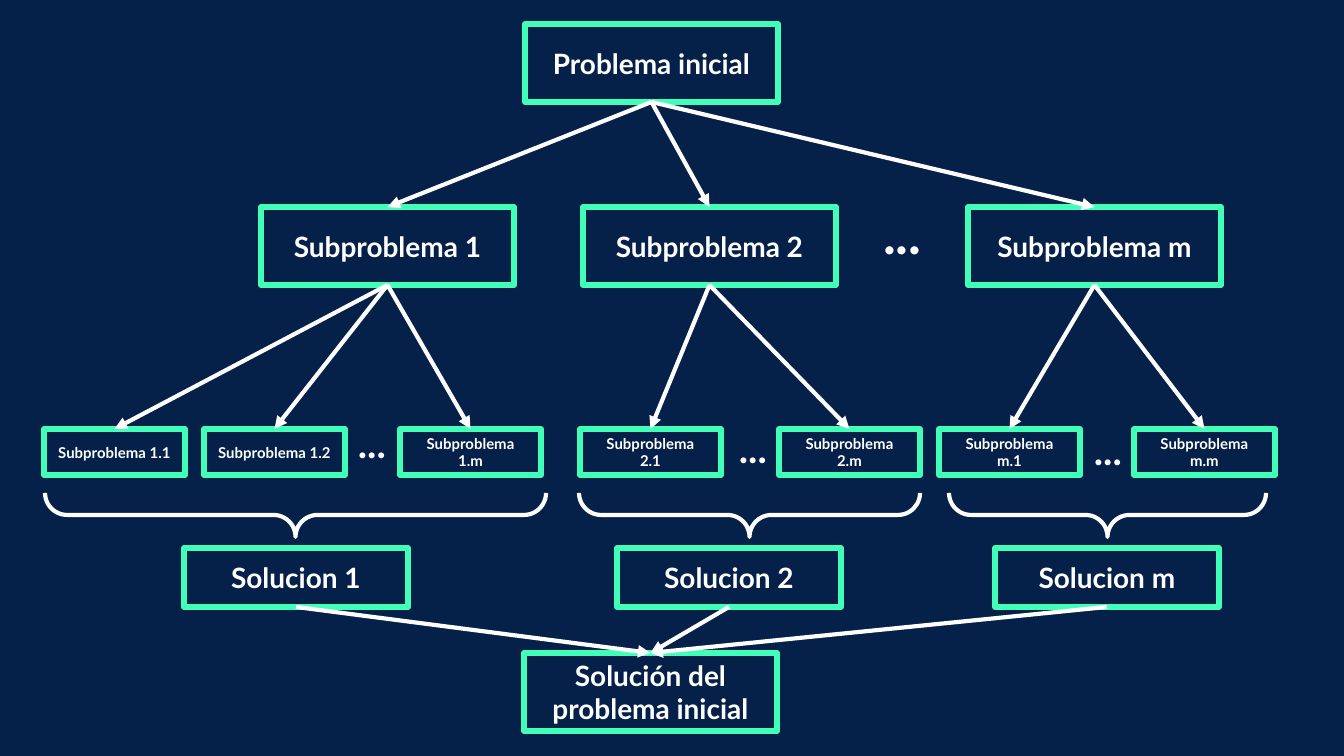
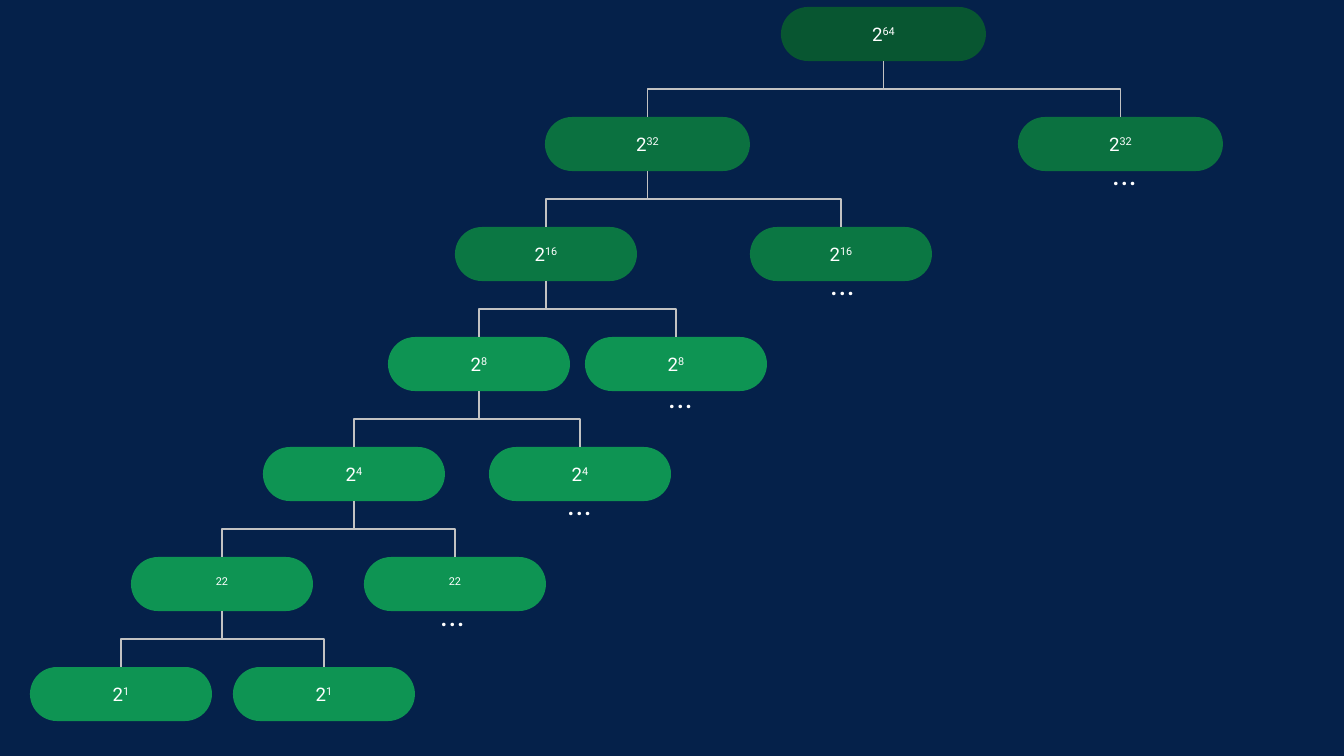
from lxml import etree
from pptx import Presentation
from pptx.dml.color import RGBColor
from pptx.enum.shapes import MSO_CONNECTOR, MSO_SHAPE
from pptx.enum.text import MSO_ANCHOR, PP_ALIGN
from pptx.oxml.ns import qn
from pptx.util import Emu, Pt

SCALE = 914400 / 134.4
RECT, PILL, BRACE = MSO_SHAPE.RECTANGLE, MSO_SHAPE.ROUNDED_RECTANGLE, MSO_SHAPE.RIGHT_BRACE
STRAIGHT, ELBOW = MSO_CONNECTOR.STRAIGHT, MSO_CONNECTOR.ELBOW
CENTER, LEFT = PP_ALIGN.CENTER, PP_ALIGN.LEFT
MIDDLE, TOP = MSO_ANCHOR.MIDDLE, MSO_ANCHOR.TOP
TOP_SITE, BOTTOM_SITE = 0, 2
INSET = 13

COLORS = {
    "navy": "05214A", "mint": "42FFB7", "white": "FFFFFF", "gray": "C2C2C2",
    "forest": "085631", "pine": "0B7140", "jade": "0B7743", "green": "0E9453",
}

COLUMNS = [
    dict(x=44, name="1", sub=217, leaves=[(0, "Subproblema 1.1"), (160, "Subproblema 1.2"),
         (356, "Subproblema 1.m")], dots=(301, 199), brace=(1, 501), solution=140),
    dict(x=580, name="2", sub=3, leaves=[(0, "Subproblema\n2.1"), (199, "Subproblema 2.m")],
         dots=(146, 204), brace=(-1, 341), solution=37),
    dict(x=939, name="m", sub=29, leaves=[(0, "Subproblema\nm.1"), (195, "Subproblema m.m")],
         dots=(142, 206), brace=(10, 317), solution=56),
]

LEVELS = [
    dict(power="32", color="pine", width=205, xs=(545, 1018), dots=(81, 24)),
    dict(power="16", color="jade", width=182, xs=(455, 750), dots=(67, 24)),
    dict(power="8", color="green", width=182, xs=(388, 585), dots=(70, 27)),
    dict(power="4", color="green", width=182, xs=(263, 489), dots=(65, 24)),
    dict(power="2", color="green", width=182, xs=(131, 364), dots=(63, 25)),
    dict(power="1", color="green", width=182, xs=(30, 233), dots=None),
]


def px(n):
    """Convert pixels to EMU."""
    return Emu(round(n * SCALE))


def rgb(name):
    """Look up a colour by name."""
    return RGBColor.from_string(COLORS[name])


def write(sp, text, size=15, font="Lato", bold=True, align=CENTER, anchor=MIDDLE, power=None):
    """Fill a shape with white text and an optional superscript power."""
    tf = sp.text_frame
    tf.word_wrap = True
    tf.vertical_anchor = anchor
    tf.margin_left = tf.margin_right = tf.margin_top = tf.margin_bottom = px(INSET)
    for i, line in enumerate(text.split("\n")):
        p = tf.paragraphs[0] if i == 0 else tf.add_paragraph()
        p.alignment = align
        for part in filter(None, (line, power)):
            r = p.add_run()
            r.text = part
            r.font.size, r.font.name, r.font.bold = Pt(size), font, bold
            r.font.color.rgb = rgb("white")
            if part is power:
                r.font._element.set("baseline", "30000")


def add_shape(s, kind, x, y, w, h, fill=None, line=None, weight=3):
    """Add a flat preset shape."""
    sp = s.shapes.add_shape(kind, px(x), px(y), px(w), px(h))
    sp.shadow.inherit = False
    if fill:
        sp.fill.solid()
        sp.fill.fore_color.rgb = rgb(fill)
    else:
        sp.fill.background()
    if line:
        sp.line.color.rgb = rgb(line)
        sp.line.width = Pt(weight)
    else:
        sp.line.fill.background()
    return sp


def box(s, text, x, y, w=253, h=78, size=15):
    """Add an outlined box with a bold label."""
    sp = add_shape(s, RECT, x, y, w, h, line="mint")
    write(sp, text, size=size)
    return sp


def dots(s, x, y, w, h, **fmt):
    """Add an ellipsis label."""
    sp = s.shapes.add_textbox(px(x), px(y), px(w), px(h))
    write(sp, "...", align=LEFT, anchor=TOP, **fmt)


def brace(s, x, y, w, h=44):
    """Add a brace that opens upward and spans the given box."""
    sp = add_shape(s, BRACE, x + (w - h) / 2, y + (h - w) / 2, h, w, line="white", weight=2.25)
    sp.adjustments[0] = sp.adjustments[1] = 0.5
    sp.rotation = 90


def link(s, kind, parent, child, color, weight):
    """Connect the bottom of one shape to the top of another."""
    c = s.shapes.add_connector(kind, 0, 0, 0, 0)
    c.begin_connect(parent, BOTTOM_SITE)
    c.end_connect(child, TOP_SITE)
    c.line.color.rgb = rgb(color)
    c.line.width = Pt(weight)
    etree.SubElement(c._element.spPr, qn("a:effectLst"))
    return c


def arrow(s, parent, child):
    """Draw a straight arrow between two boxes."""
    c = link(s, STRAIGHT, parent, child, "white", 2.25)
    etree.SubElement(c.line._get_or_add_ln(), qn("a:tailEnd"), type="triangle")


def elbow(s, parent, child):
    """Draw a connector that leaves downward and bends twice."""
    c = link(s, ELBOW, parent, child, "gray", 0.75)
    x1, x2 = (n.left + n.width // 2 for n in (parent, child))
    y1, y2 = parent.top + parent.height, child.top
    w, h = y2 - y1, abs(x2 - x1)
    c.left, c.top = (x1 + x2 - w) // 2, (y1 + y2 - h) // 2
    c.width, c.height = w, h
    xfrm = c._element.spPr.find(qn("a:xfrm"))
    xfrm.set("rot", "16200000" if x2 > x1 else "5400000")
    xfrm.set("flipH", "1" if x2 > x1 else "0")
    xfrm.set("flipV", "0")


def problem_column(s, root, final, y, x, name, sub, leaves, dots_at, brace_at, solution):
    """Draw one subproblem with its parts and its solution, from the column corner."""
    head = box(s, f"Subproblema {name}", x + sub, y)
    arrow(s, root, head)
    for dx, text in leaves:
        arrow(s, head, box(s, text, x + dx, y + 222, 141, 46, size=8))
    dots(s, x + dots_at[0], y + dots_at[1], 60, 51, size=21)
    brace(s, x + brace_at[0], y + 286, brace_at[1])
    arrow(s, box(s, f"Solucion {name}", x + solution, y + 341, 224, 59), final)


def divide_slide(prs):
    """Build the divide and conquer diagram."""
    s = prs.slides.add_slide(prs.slide_layouts[6])
    root = box(s, "Problema inicial", 525, 24)
    final = box(s, "Solución del problema inicial", 524, 653)
    for col in COLUMNS:
        problem_column(s, root, final, 207, col["x"], col["name"], col["sub"], col["leaves"],
                       col["dots"], col["brace"], col["solution"])
    dots(s, 870, 187, 79, 94, size=29)


def pill(s, power, color, x, y, w, h=54):
    """Add a rounded node that holds a power of two."""
    sp = add_shape(s, PILL, x, y, w, h, fill=color)
    sp.adjustments[0] = 0.5
    write(sp, "2", size=10, font="Roboto", bold=False, power=power)
    return sp


def tree_level(s, parent, y, power, color, width, xs, dots_at):
    """Draw a pair of nodes below their parent and return the left one."""
    pair = [pill(s, power, color, x, y, width) for x in xs]
    for node in pair:
        elbow(s, parent, node)
    if dots_at:
        dots(s, xs[1] + dots_at[0], y + dots_at[1], 67, 66,
             size=17, font="Roboto Condensed", bold=False)
    return pair[0]


def powers_slide(prs, top=7, pitch=110):
    """Build the tree of powers of two."""
    s = prs.slides.add_slide(prs.slide_layouts[6])
    node = pill(s, "64", "forest", 781, top, 205)
    for i, lv in enumerate(LEVELS, 1):
        node = tree_level(s, node, top + i * pitch, lv["power"], lv["color"], lv["width"],
                          lv["xs"], lv["dots"])


def main():
    """Build and save the presentation."""
    prs = Presentation()
    prs.slide_width, prs.slide_height = px(1344), px(756)
    fill = prs.slide_master.background.fill
    fill.solid()
    fill.fore_color.rgb = rgb("navy")
    divide_slide(prs)
    powers_slide(prs)
    prs.save("out.pptx")


if __name__ == "__main__":
    main()
